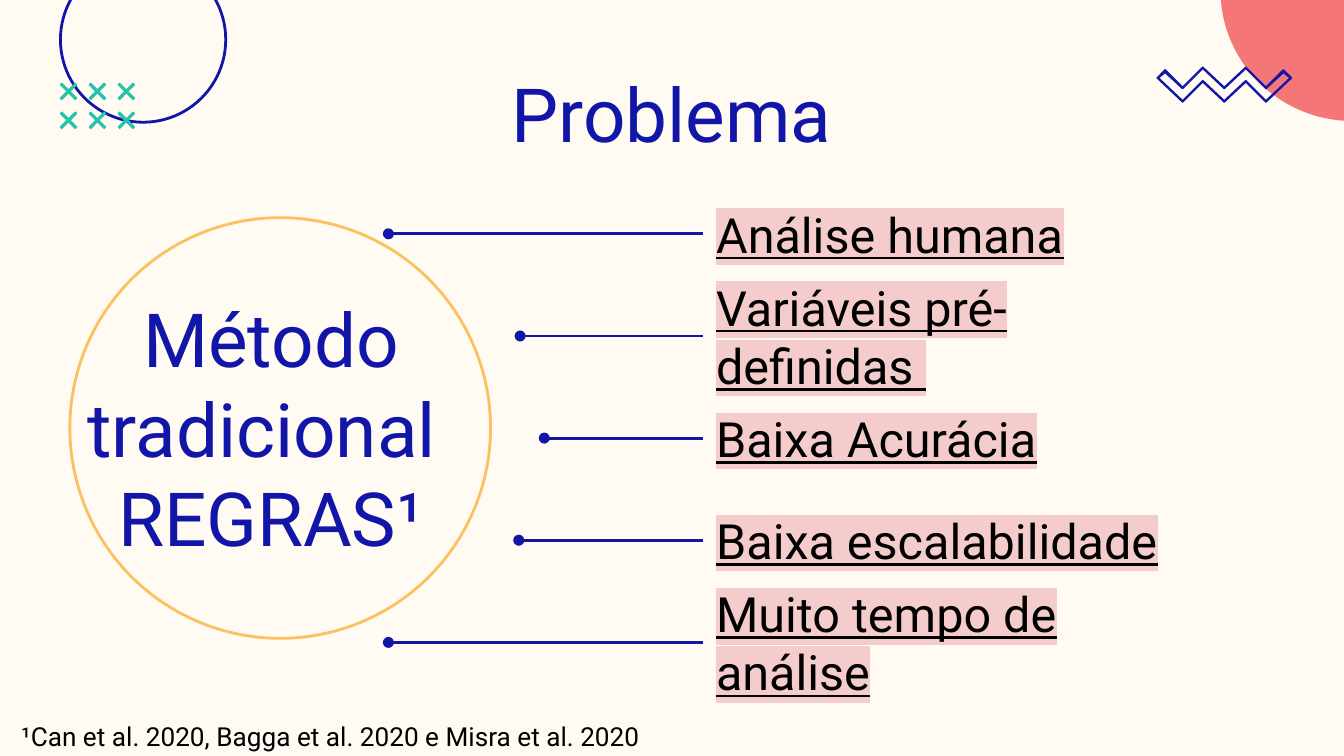
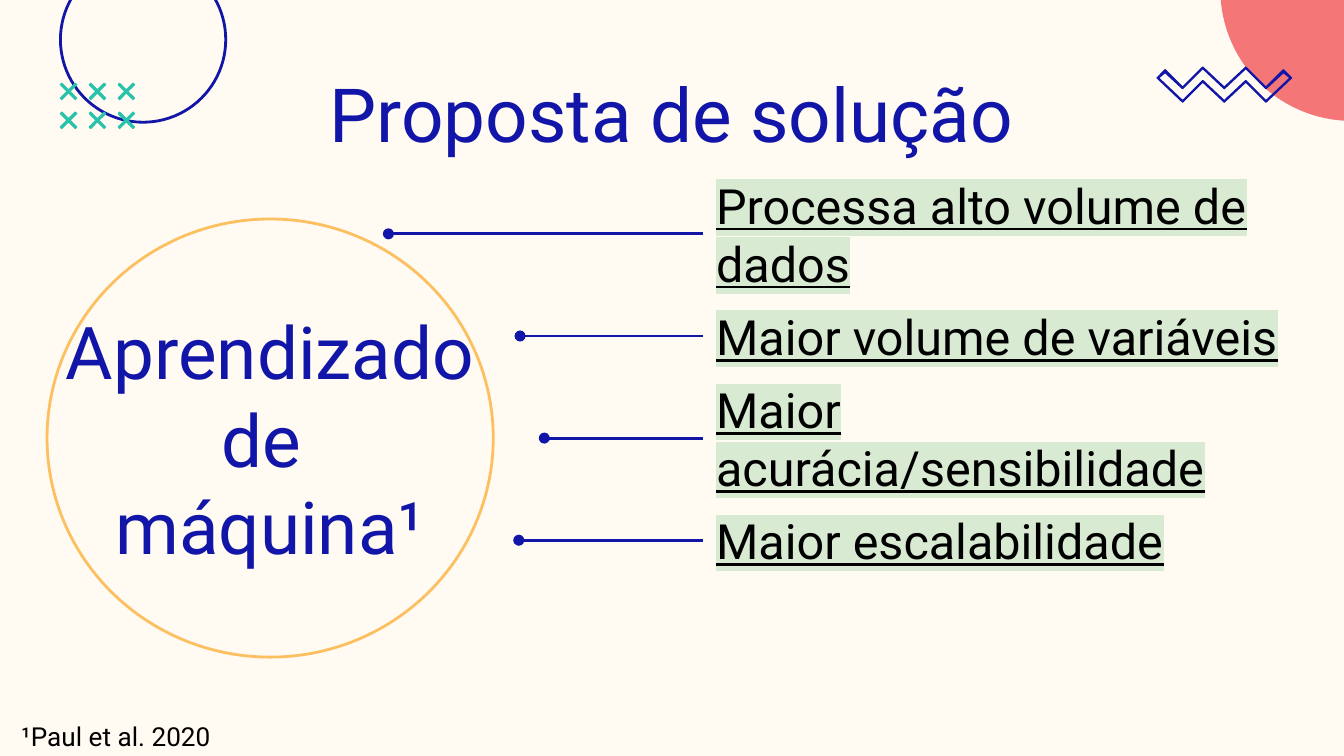
from dataclasses import dataclass
from itertools import product
from math import cos, pi, sin

from lxml.etree import SubElement
from pptx import Presentation
from pptx.dml.color import RGBColor
from pptx.enum.shapes import MSO_CONNECTOR as Connector, MSO_SHAPE as Preset
from pptx.enum.text import MSO_ANCHOR as Anchor, MSO_AUTO_SIZE as AutoSize, PP_ALIGN as Align
from pptx.oxml.ns import qn
from pptx.oxml.xmlchemy import OxmlElement
from pptx.shapes.autoshape import Shape
from pptx.slide import Slide
from pptx.util import Inches, Pt

Point = tuple[float, float]

FONT = "Roboto"
CREAM, BLUE, TEAL, CORAL, AMBER, BLACK = "FFFAF2", "1116A8", "29C2AA", "F57676", "FDC061", "000000"
PINK, GREEN = "F4CCCC", "D9EAD3"
ROW_PITCH = 0.76
LABEL_LEFT, FIRST_LABEL_TOP, FIRST_LEADER_Y = 5.23, 1.53, 1.74
LEADER_STARTS = (2.89, 3.87, 4.05, 3.86, 2.89)
CROSS_SIZE, CROSS_PITCH = 0.12, 0.43 / 2
CROSS_ARM = ((0, 0.01), (0.01, 0), (0.06, 0.05))
ZIGZAG_CENTRE = 9.11
ZIGZAG_EDGES = (
    ((9.11, 0.76), (8.95, 0.61), (8.8, 0.76), (8.61, 0.58), (8.67, 0.52),
     (8.8, 0.65), (8.95, 0.5), (9.11, 0.65)),
    ((9.11, 0.75), (8.95, 0.6), (8.8, 0.75), (8.62, 0.58), (8.67, 0.54),
     (8.8, 0.66), (8.95, 0.51), (9.11, 0.66)),
)


@dataclass(frozen=True)
class Box:
    left: float
    top: float
    width: float
    height: float

    def emu(self) -> tuple[int, ...]:
        return tuple(Inches(v) for v in (self.left, self.top, self.width, self.height))


@dataclass(frozen=True)
class TextStyle:
    size: float
    color: str
    align: Align = Align.LEFT
    anchor: Anchor = Anchor.MIDDLE
    highlight: str | None = None
    grow: bool = False


@dataclass(frozen=True)
class Claim:
    text: str
    width: float


@dataclass(frozen=True)
class Topic:
    title: str
    circle: Box
    method: str
    method_box: Box
    method_size: float
    claims: tuple[Claim, ...]
    highlight: str
    citation: str


TOPICS = (
    Topic(
        "Problema", Box(0.52, 1.62, 3.13, 3.13),
        "Método tradicional \nREGRAS¹", Box(0.52, 2.92, 2.99, 0.52), 40,
        (
            Claim("Análise humana", 3.32),
            Claim("Variáveis pré-definidas ", 3.7),
            Claim("Baixa Acurácia", 3.27),
            Claim("Baixa escalabilidade", 3.55),
            Claim("Muito tempo de análise", 3.8),
        ),
        PINK, "¹Can et al. 2020, Bagga et al. 2020 e Misra et al. 2020",
    ),
    Topic(
        "Proposta de solução", Box(0.35, 1.63, 3.32, 3.26),
        "Aprendizado de \nmáquina¹", Box(0.28, 3, 3.46, 0.52), 39,
        (
            Claim("Processa alto volume de dados", 4.7),
            Claim("Maior volume de variáveis", 4.41),
            Claim("Maior acurácia/sensibilidade", 4.61),
            Claim("Maior escalabilidade", 3.55),
        ),
        GREEN, "¹Paul et al. 2020",
    ),
)


def rgb(color: str) -> RGBColor:
    return RGBColor.from_string(color)


def paint(shape: Shape, fill: str | None, line: str | None, weight: float = 0.75) -> None:
    shape.shadow.inherit = False
    if fill:
        shape.fill.solid()
        shape.fill.fore_color.rgb = rgb(fill)
    else:
        shape.fill.background()
    if line:
        shape.line.color.rgb = rgb(line)
        shape.line.width = Pt(weight)
    else:
        shape.line.fill.background()


def add_ring(slide: Slide, box: Box, color: str) -> None:
    ring = slide.shapes.add_shape(Preset.OVAL, *box.emu())
    paint(ring, None, color, 1.5)


def add_outline(slide: Slide, contours: list[list[Point]], fill: str, line: str | None) -> None:
    scaled = [[(Inches(x), Inches(y)) for x, y in contour] for contour in contours]
    builder = slide.shapes.build_freeform(*scaled[0][0])
    builder.add_line_segments(scaled[0][1:], close=True)
    for contour in scaled[1:]:
        builder.move_to(*contour[0])
        builder.add_line_segments(contour[1:], close=True)
    paint(builder.convert_to_shape(), fill, line)


def add_text(slide: Slide, box: Box, text: str, style: TextStyle) -> None:
    frame = slide.shapes.add_textbox(*box.emu()).text_frame
    frame.word_wrap = True
    frame.auto_size = AutoSize.SHAPE_TO_FIT_TEXT if style.grow else AutoSize.NONE
    frame.vertical_anchor = style.anchor
    frame.margin_left = frame.margin_right = frame.margin_top = frame.margin_bottom = Inches(0.1)
    frame.text = text
    for paragraph in frame.paragraphs:
        paragraph.alignment = style.align
        for run in paragraph.runs:
            run.font.name = FONT
            run.font.size = Pt(style.size)
            run.font.color.rgb = rgb(style.color)
            if style.highlight:
                run.font.underline = True
                marker = OxmlElement("a:highlight")
                SubElement(marker, qn("a:srgbClr")).set("val", style.highlight)
                run.font._element.find(qn("a:solidFill")).addnext(marker)


def add_leader(slide: Slide, start: float, y: float) -> None:
    leader = slide.shapes.add_connector(
        Connector.STRAIGHT, Inches(start), Inches(y), Inches(LABEL_LEFT), Inches(y))
    leader.line.color.rgb = rgb(BLUE)
    leader.line.width = Pt(1.5)
    SubElement(leader.line._get_or_add_ln(), qn("a:headEnd")).set("type", "oval")
    SubElement(leader._element.spPr, qn("a:effectLst"))


def cross(left: float, top: float) -> list[Point]:
    points = []
    arm = list(CROSS_ARM)
    for _ in range(4):
        points += [(left + x, top + y) for x, y in arm]
        arm = [(CROSS_SIZE - y, x) for x, y in arm]
    return points


def quarter_disc(centre: Point, radius: float, steps: int = 30) -> list[Point]:
    angles = [pi / 2 * (1 + step / steps) for step in range(steps + 1)]
    return [centre] + [(centre[0] + radius * cos(a), centre[1] + radius * sin(a)) for a in angles]


def zigzag() -> list[list[Point]]:
    return [
        list(half) + [(2 * ZIGZAG_CENTRE - x, y) for x, y in half[-2:0:-1]]
        for half in ZIGZAG_EDGES
    ]


def add_decoration(slide: Slide) -> None:
    add_ring(slide, Box(0.45, -0.32, 1.23, 1.23), BLUE)
    for row, column in product(range(2), range(3)):
        mark = cross(0.45 + column * CROSS_PITCH, 0.62 + row * CROSS_PITCH)
        add_outline(slide, [mark], TEAL, TEAL)
    add_outline(slide, [quarter_disc((10.06, -0.08), 0.98)], CORAL, None)
    add_outline(slide, zigzag(), BLUE, BLUE)


def add_topic(slide: Slide, topic: Topic) -> None:
    add_decoration(slide)
    add_text(slide, Box(1.55, 0.58, 6.89, 0.52), topic.title, TextStyle(40, BLUE, Align.CENTER))
    claim_style = TextStyle(26, BLACK, highlight=topic.highlight)
    for row, claim in enumerate(topic.claims):
        box = Box(LABEL_LEFT, FIRST_LABEL_TOP + row * ROW_PITCH, claim.width, 0.42)
        add_text(slide, box, claim.text, claim_style)
    add_ring(slide, topic.circle, AMBER)
    for row, (start, _) in enumerate(zip(LEADER_STARTS, topic.claims)):
        add_leader(slide, start, FIRST_LEADER_Y + row * ROW_PITCH)
    add_text(slide, topic.method_box, topic.method,
             TextStyle(topic.method_size, BLUE, Align.CENTER))
    add_text(slide, Box(0.06, 5.26, 6.03, 0.44), topic.citation,
             TextStyle(14, BLACK, anchor=Anchor.TOP, grow=True))


def main() -> None:
    deck = Presentation()
    deck.slide_width = Inches(10)
    deck.slide_height = Inches(10 * 9 / 16)
    backdrop = deck.slide_master.background.fill
    backdrop.solid()
    backdrop.fore_color.rgb = rgb(CREAM)
    for topic in TOPICS:
        add_topic(deck.slides.add_slide(deck.slide_layouts[6]), topic)
    deck.save("out.pptx")


if __name__ == "__main__":
    main()
